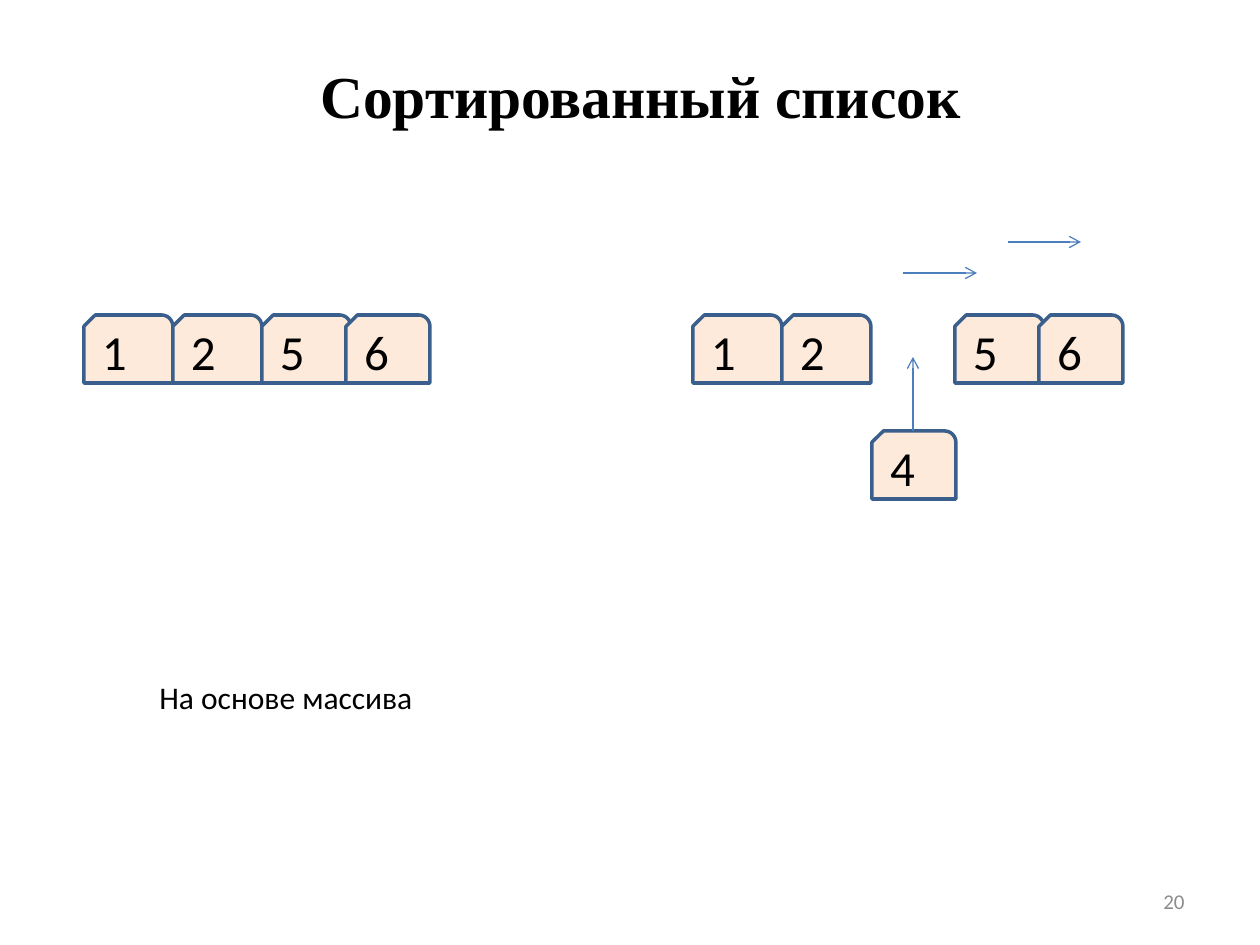
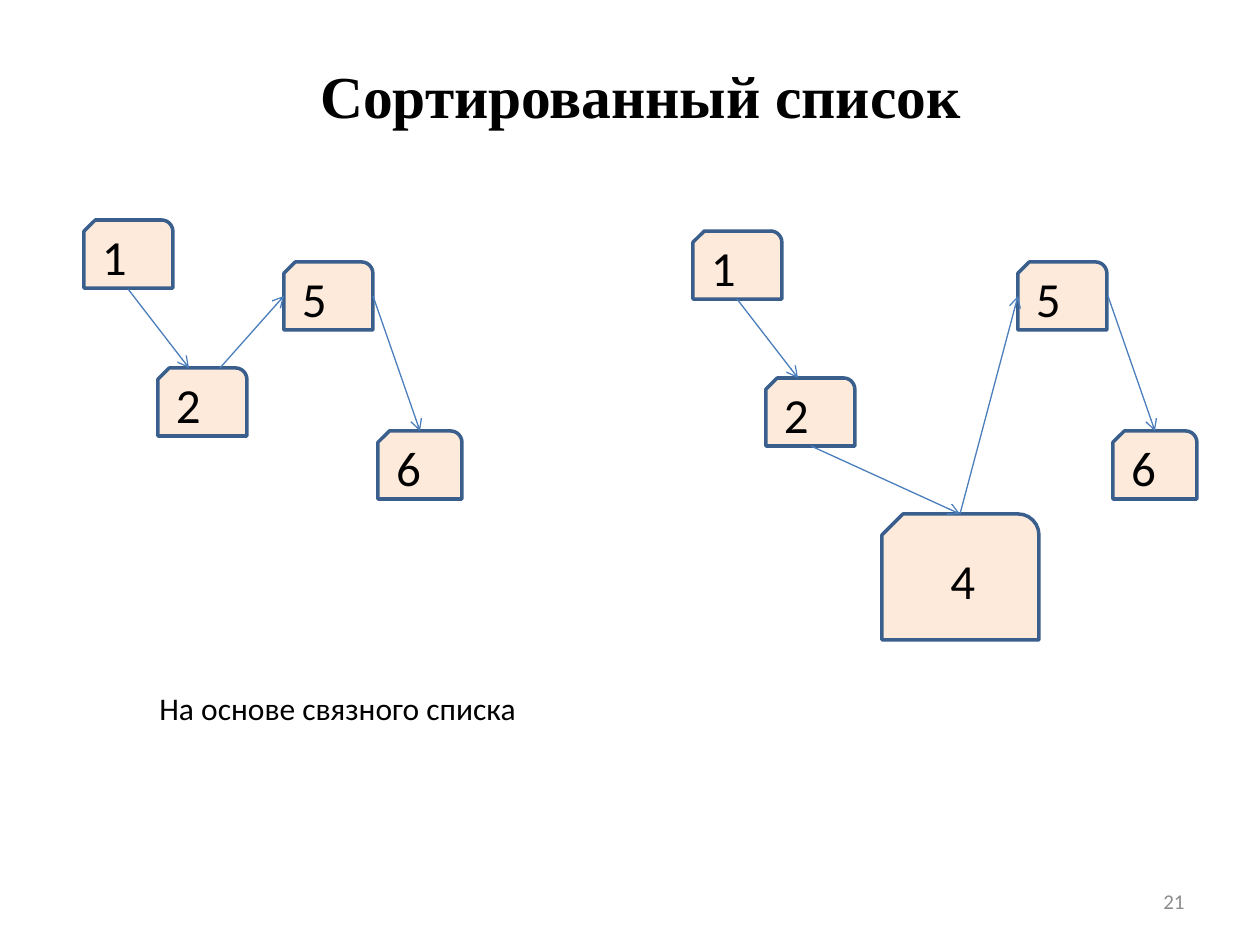
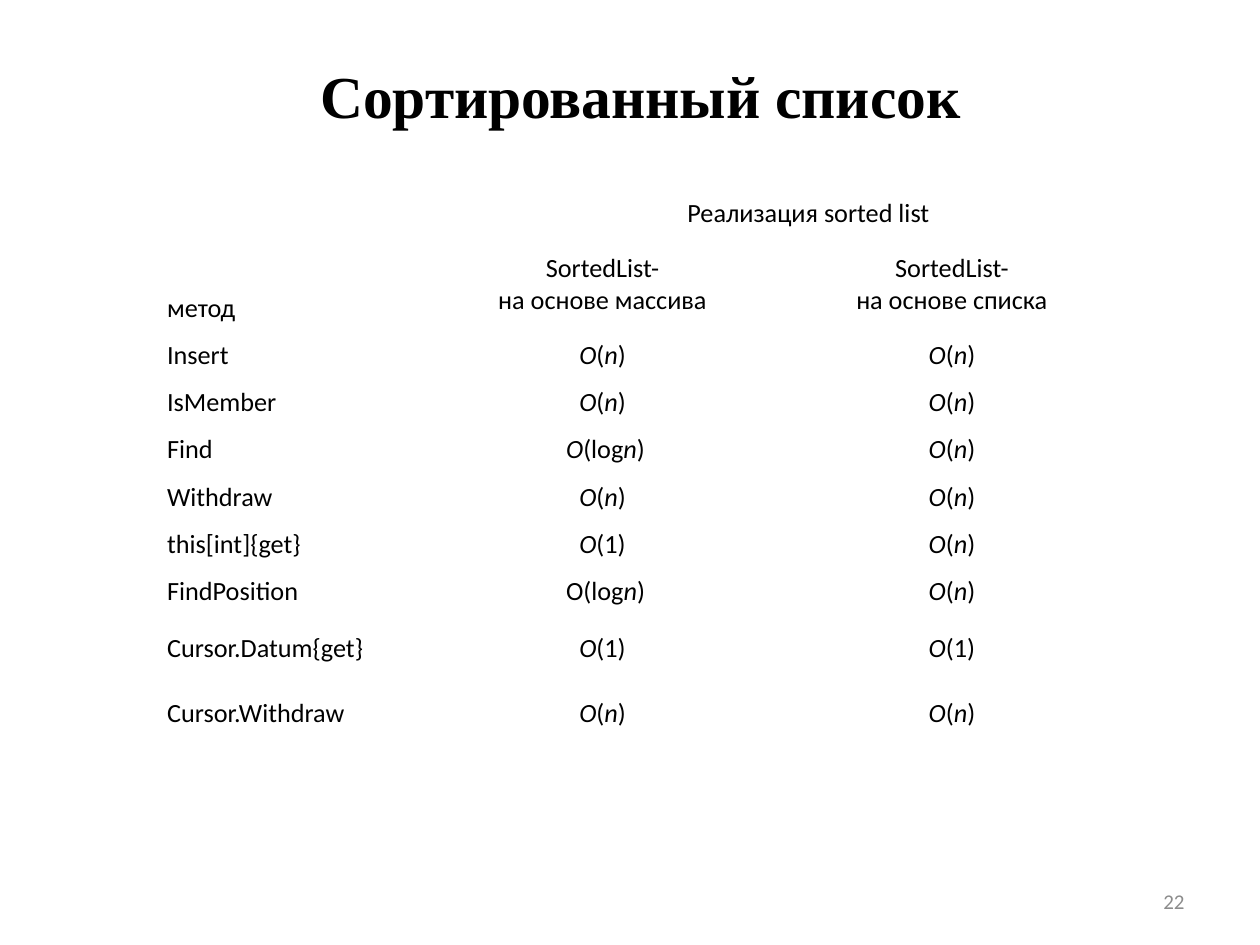
"""Build three slides comparing array-based and linked sorted lists."""
from lxml.etree import SubElement
from pptx import Presentation
from pptx.dml.color import RGBColor
from pptx.enum.shapes import MSO_CONNECTOR, MSO_SHAPE
from pptx.enum.text import MSO_ANCHOR, PP_ALIGN
from pptx.oxml.ns import qn
from pptx.util import Emu, Inches, Pt

SCALE = Inches(1) // 126
BLACK, GREY, WHITE = "000000", "8C8C8C", "FFFFFF"
PEACH, NAVY, BLUE = "FDEADA", "3A5F8C", "4B7EBC"
LEFT, CENTER, RIGHT = PP_ALIGN.LEFT, PP_ALIGN.CENTER, PP_ALIGN.RIGHT
MIDDLE = MSO_ANCHOR.MIDDLE
rgb = RGBColor.from_string


def px(*lengths):
    return [Emu(length * SCALE) for length in lengths]


def write(frame, text, size, align=LEFT, color=BLACK, font="Calibri", bold=False):
    """Write lines of text, with italics between underscores."""
    for number, line in enumerate(text.split("\n")):
        paragraph = frame.add_paragraph() if number else frame.paragraphs[0]
        paragraph.alignment = align
        for part, words in enumerate(line.split("_")):
            if words:
                run = paragraph.add_run()
                run.text = words
                run.font.size = Pt(size)
                run.font.name = font
                run.font.bold = bold
                run.font.italic = part % 2 == 1
                run.font.color.rgb = rgb(color)
        SubElement(paragraph._p, qn("a:endParaRPr"), sz=str(size * 100))


NODE_W, LAST_W, NODE_H = 89, 84, 68
ROW_Y = 315

array_nodes = [
    (value, x + shift, ROW_Y, width, NODE_H, LEFT)
    for shifts in [(0, 0), (609, 693)]
    for value, x, width, shift in [
        ("1", 84, NODE_W, shifts[0]), ("2", 173, NODE_W, shifts[0]),
        ("5", 262, NODE_W, shifts[1]), ("6", 346, LAST_W, shifts[1]),
    ]
] + [("4", 872, 431, LAST_W, NODE_H, LEFT)]
array_arrows = [(913, 431, 913, 357), (903, 273, 977, 273), (1008, 242, 1081, 242)]

linked_nodes = [
    (value, x, y, LAST_W if value == "6" else NODE_W, NODE_H, LEFT)
    for value, x, y in [
        ("1", 84, 220), ("2", 158, 368), ("5", 284, 262), ("6", 378, 431),
        ("1", 693, 231), ("2", 766, 378), ("5", 1018, 262), ("6", 1113, 431),
    ]
] + [("4", 882, 514, 157, 126, CENTER)]
linked_arrows = [
    (128, 289, 189, 368), (220, 368, 284, 296), (373, 296, 420, 431),
    (737, 299, 798, 378), (811, 446, 960, 514), (960, 514, 1018, 296),
    (1108, 296, 1155, 431),
]

diagrams = [
    (array_nodes, array_arrows, "На основе массива", 672, 281),
    (linked_nodes, linked_arrows, "На основе связного списка", 683, 386),
]

deck = Presentation()
deck.slide_width, deck.slide_height = px(1260, 945)

for page in (20, 21, 22):
    slide = deck.slides.add_slide(deck.slide_layouts[6])
    title = slide.shapes.add_textbox(*px(126, 53, 1029, 73)).text_frame
    title.word_wrap = True
    write(title, "Сортированный список", 34, CENTER, font="Times New Roman", bold=True)
    spacing = SubElement(title.paragraphs[0]._p.get_or_add_pPr(), qn("a:spcBef"))
    SubElement(spacing, qn("a:spcPct"), val="20000")
    footer = slide.shapes.add_textbox(*px(903, 876, 294, 50)).text_frame
    footer.word_wrap = True
    footer.vertical_anchor = MIDDLE
    write(footer, str(page), 12, RIGHT, GREY)

for slide, (nodes, arrows, label, label_y, label_w) in zip(deck.slides, diagrams):
    for value, x, y, width, height, align in nodes:
        node = slide.shapes.add_shape(MSO_SHAPE.SNIP_ROUND_RECTANGLE, *px(x, y, width, height))
        node._element.spPr.xfrm.set("flipH", "1")
        node.shadow.inherit = False
        node.fill.solid()
        node.fill.fore_color.rgb = rgb(PEACH)
        node.line.color.rgb = rgb(NAVY)
        node.line.width = Pt(2)
        node.text_frame.vertical_anchor = MIDDLE
        write(node.text_frame, value, 28, align)
    for ends in arrows:
        arrow = slide.shapes.add_connector(MSO_CONNECTOR.STRAIGHT, *px(*ends))
        arrow.line.color.rgb = rgb(BLUE)
        arrow.line.width = Pt(0.75)
        SubElement(arrow.line._get_or_add_ln(), qn("a:tailEnd"), type="arrow")
        SubElement(arrow._element.spPr, qn("a:effectLst"))
    caption = slide.shapes.add_textbox(*px(147, label_y, label_w, 50)).text_frame
    caption.word_wrap = False
    write(caption, label, 18)

LINEAR, CONSTANT = "_O_(_n_) ", "_O_(1) "
methods = [
    ("Insert ", LINEAR, LINEAR),
    ("IsMember ", LINEAR, LINEAR),
    ("Find ", "_O_(log_n_)", LINEAR),
    ("Withdraw ", LINEAR, LINEAR),
    ("this[int]{get} ", CONSTANT, LINEAR),
    ("FindPosition ", "O(log_n_)", LINEAR),
    ("Cursor.Datum{get} ", CONSTANT, CONSTANT),
    ("Cursor.Withdraw ", LINEAR, LINEAR),
]
rows = [
    ("", "Реализация sorted list", "", ""),
    ("", "SortedList- \nна основе массива ", "", "SortedList- \nна основе списка "),
    ("метод", "", "", ""),
] + [(method, array, "", linked) for method, array, linked in methods]
column_widths = [316, 265, 28, 378]
row_heights = [47.3] * 9 + [67, 63]

costs = deck.slides[2].shapes.add_table(len(rows), 4, *px(157, 190, 987, 556)).table
costs.first_row = costs.horz_banding = False
for column, width in zip(costs.columns, px(*column_widths)):
    column.width = width
for row, height in zip(costs.rows, row_heights):
    row.height = Emu(int(height * SCALE))
costs.cell(0, 1).merge(costs.cell(0, 3))
for column in (1, 3):
    costs.cell(1, column).merge(costs.cell(2, column))
for r, texts in enumerate(rows):
    for c, text in enumerate(texts):
        cell = costs.cell(r, c)
        cell.fill.solid()
        cell.fill.fore_color.rgb = rgb(WHITE)
        cell.vertical_anchor = MIDDLE
        cell.margin_left = cell.margin_right = Inches(0.08)
        cell.margin_top = cell.margin_bottom = Inches(0.04)
        write(cell.text_frame, text, 15, CENTER if c else LEFT)

deck.save("out.pptx")
